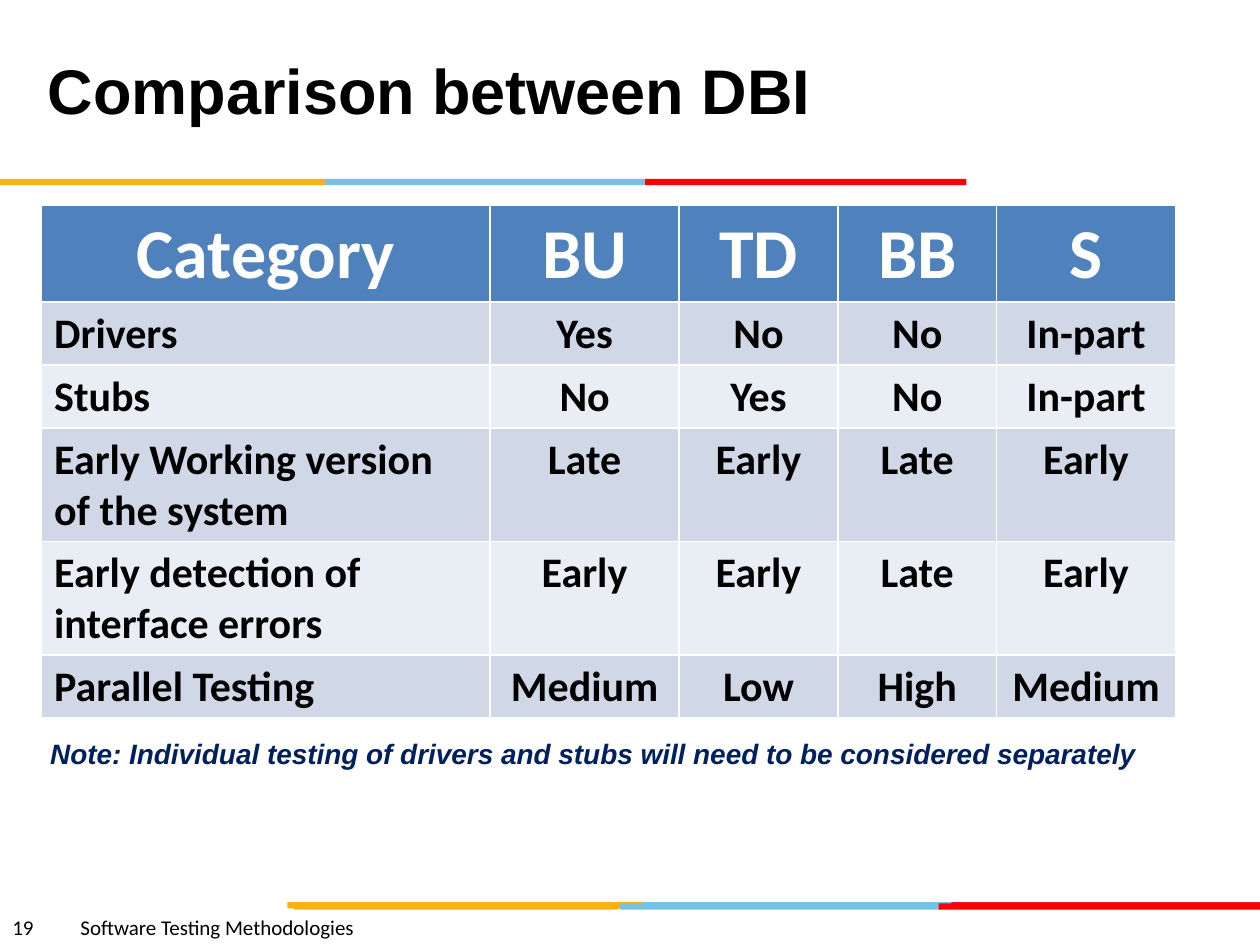
from typing import NamedTuple

from lxml.etree import SubElement
from pptx import Presentation
from pptx.dml.color import RGBColor
from pptx.enum.shapes import MSO_SHAPE as Shape
from pptx.enum.text import MSO_ANCHOR as Anchor, MSO_AUTO_SIZE as Fit, PP_ALIGN as Align
from pptx.oxml.ns import qn
from pptx.util import Inches, Pt

BLACK = RGBColor(0x00, 0x00, 0x00)
WHITE = RGBColor(0xFF, 0xFF, 0xFF)
NAVY = RGBColor(0x00, 0x20, 0x60)
GOLD = RGBColor(0xFC, 0xB0, 0x17)
SKY = RGBColor(0x76, 0xC2, 0xE5)
RED = RGBColor(0xFF, 0x00, 0x00)
BRICK = RGBColor(0xE3, 0x1C, 0x24)
HEAD = RGBColor(0x4F, 0x81, 0xBD)
BANDS = (RGBColor(0xD0, 0xD8, 0xE8), RGBColor(0xE9, 0xED, 0xF4))


class Bar(NamedTuple):
    left: float
    top: float
    width: float
    color: RGBColor


class Style(NamedTuple):
    font: str
    size: int
    color: RGBColor
    bold: bool = True
    italic: bool = False


class Label(NamedTuple):
    text: str
    left: float
    top: float
    width: float
    height: float
    style: Style
    wrap: bool = True
    anchor: Anchor = Anchor.TOP
    fit: Fit = Fit.SHAPE_TO_FIT_TEXT
    tab: float = 0


BARS = (
    Bar(5.06, 7.16, 2.55, SKY),
    Bar(7.55, 7.16, 2.45, BRICK),
    Bar(2.28, 7.16, 2.82, GOLD),
    Bar(4.92, 7.17, 2.55, SKY),
    Bar(2.33, 7.17, 2.58, GOLD),
    Bar(7.45, 7.17, 2.55, RED),
    Bar(2.58, 1.42, 2.55, SKY),
    Bar(0, 1.42, 2.58, GOLD),
    Bar(5.12, 1.42, 2.55, RED),
)

FOOTER = Label("19\tSoftware Testing Methodologies", 0, 7.21, 5, 0.3,
               Style("Calibri", 12, BLACK, bold=False), tab=0.54)
TITLE = Label("Comparison between DBI", 0.28, 0.08, 6.85, 1.25,
              Style("Arial", 36, BLACK), anchor=Anchor.MIDDLE, fit=Fit.NONE)
NOTE = Label("Note: Individual testing of drivers and stubs will need to be considered separately",
             0.3, 5.8, 8.94, 0.37, Style("Arial", 16, NAVY, italic=True), wrap=False)

COLS = (3.56, 1.5, 1.26, 1.26, 1.42)
ROWS = (
    ("Category", "BU", "TD", "BB", "S"),
    ("Drivers", "Yes", "No", "No", "In-part"),
    ("Stubs", "No", "Yes", "No", "In-part"),
    ("Early Working version of the system", "Late", "Early", "Late", "Early"),
    ("Early detection of interface errors", "Early", "Early", "Late", "Early"),
    ("Parallel Testing", "Medium", "Low", "High", "Medium"),
)
ROW_HEIGHT = 0.41
HEAD_STYLE = Style("Calibri", 40, WHITE)
BODY_STYLE = Style("Calibri", 24, BLACK)


def set_font(para, style: Style) -> None:
    for run in para.runs:
        font = run.font
        font.name = style.font
        font.size = Pt(style.size)
        font.color.rgb = style.color
        font.bold = style.bold
        font.italic = style.italic


def add_bar(slide, bar: Bar) -> None:
    shape = slide.shapes.add_shape(Shape.RECTANGLE, Inches(bar.left), Inches(bar.top),
                                   Inches(bar.width), Inches(0.05))
    shape.shadow.inherit = False
    shape.fill.solid()
    shape.fill.fore_color.rgb = bar.color
    shape.line.fill.background()


def add_label(slide, label: Label) -> None:
    box = slide.shapes.add_textbox(Inches(label.left), Inches(label.top),
                                   Inches(label.width), Inches(label.height))
    frame = box.text_frame
    frame.text = label.text
    frame.word_wrap = label.wrap
    frame.vertical_anchor = label.anchor
    frame.auto_size = label.fit
    para = frame.paragraphs[0]
    if label.tab:
        tabs = SubElement(para._p.get_or_add_pPr(), qn("a:tabLst"))
        SubElement(tabs, qn("a:tab"), pos=str(Inches(label.tab)), algn="l")
    set_font(para, label.style)


def add_grid(slide) -> None:
    """Add the comparison table; rows grow to fit their text."""
    table = slide.shapes.add_table(len(ROWS), len(COLS), Inches(0.33), Inches(1.63),
                                   Inches(sum(COLS)), Inches(ROW_HEIGHT * len(ROWS))).table
    for col, width in zip(table.columns, COLS):
        col.width = Inches(width)
    for r, row in enumerate(ROWS):
        table.rows[r].height = Inches(ROW_HEIGHT)
        for c, text in enumerate(row):
            cell = table.cell(r, c)
            cell.fill.solid()
            cell.fill.fore_color.rgb = BANDS[(r - 1) % 2] if r else HEAD
            cell.text_frame.text = text
            para = cell.text_frame.paragraphs[0]
            para.alignment = Align.LEFT if r and not c else Align.CENTER
            set_font(para, BODY_STYLE if r else HEAD_STYLE)


def main() -> None:
    deck = Presentation()
    deck.slide_width = Inches(10)
    deck.slide_height = Inches(7.5)
    slide = deck.slides.add_slide(deck.slide_layouts[6])
    for bar in BARS:
        add_bar(slide, bar)
    add_label(slide, FOOTER)
    add_grid(slide)
    add_label(slide, TITLE)
    add_label(slide, NOTE)
    deck.save("out.pptx")


if __name__ == "__main__":
    main()
